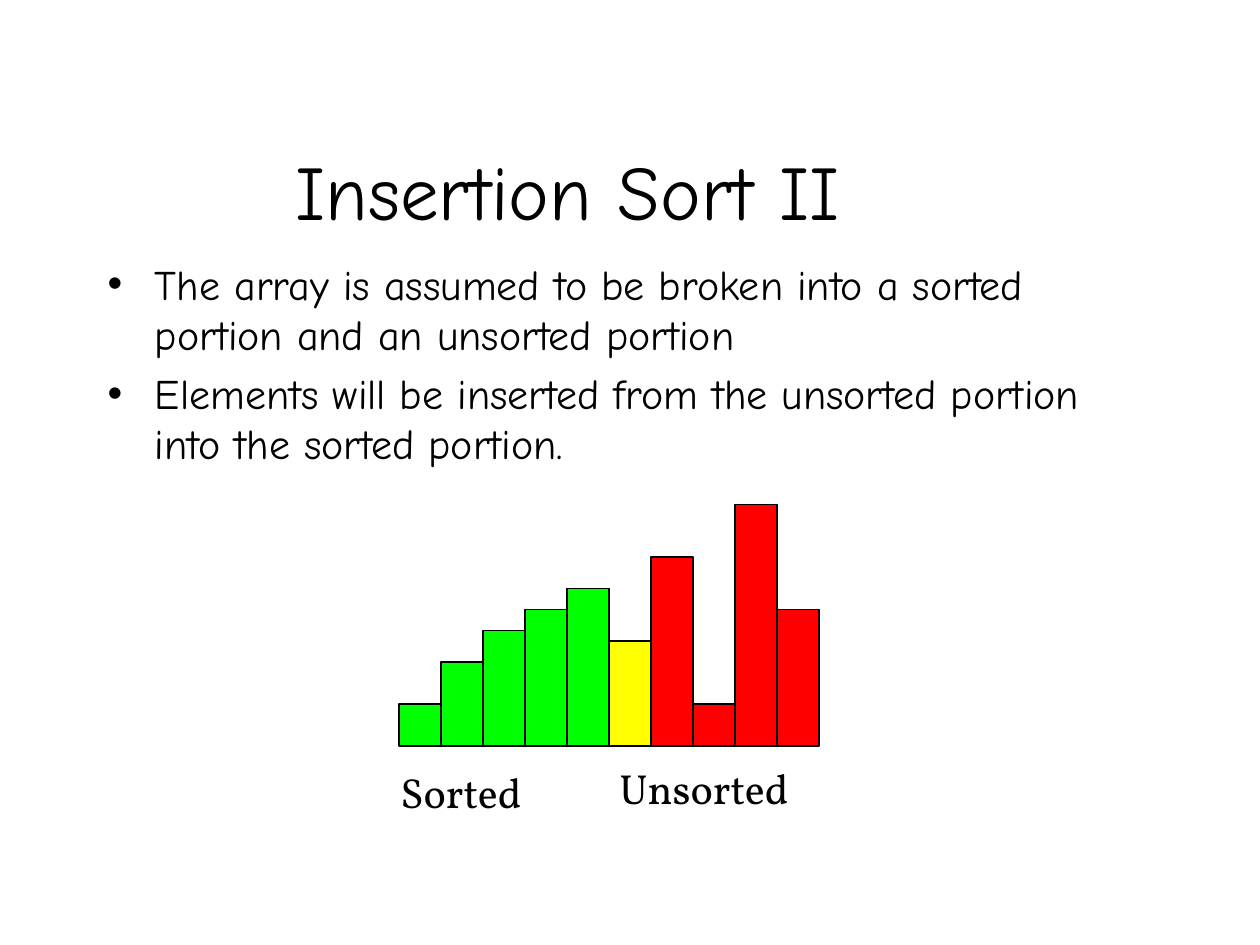
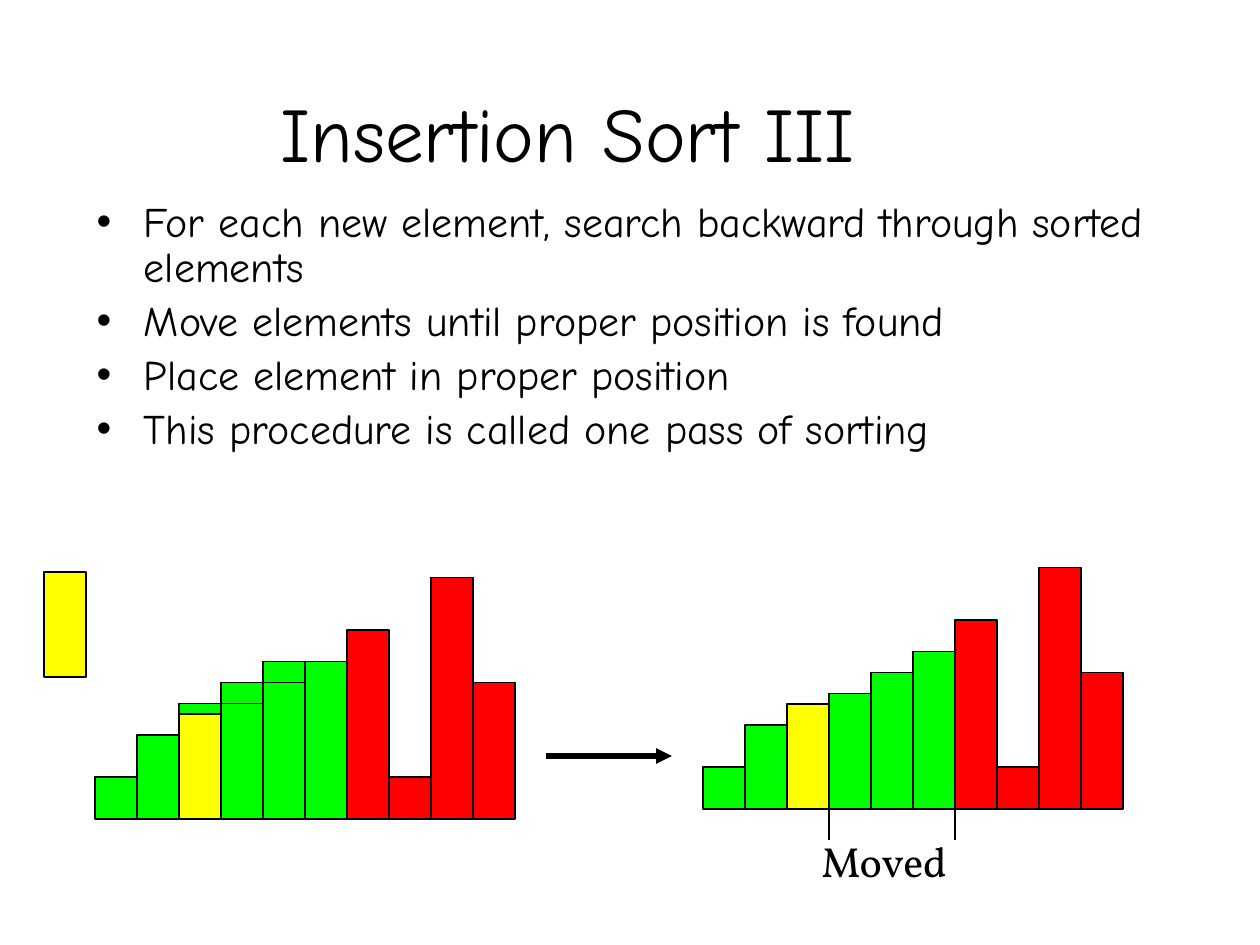
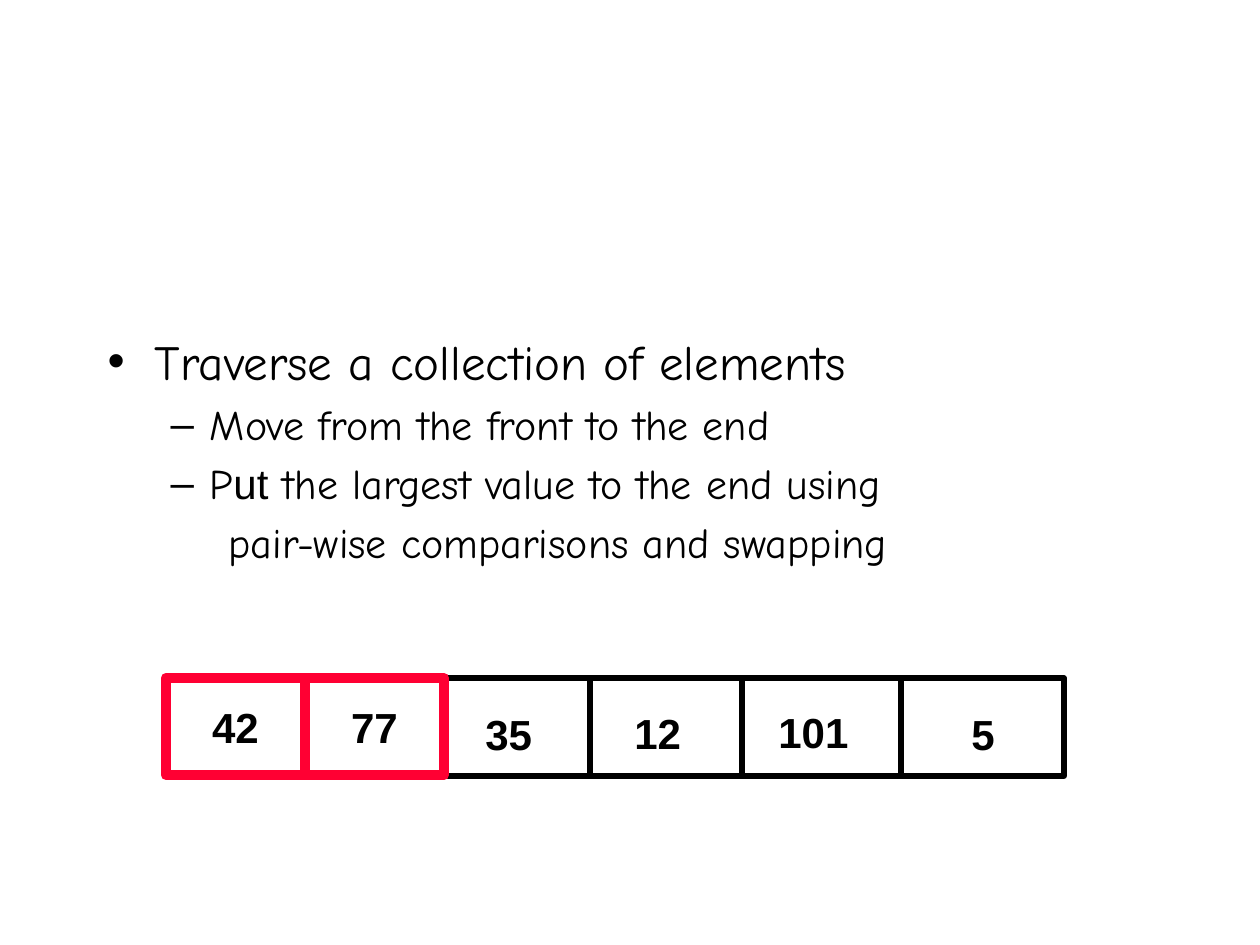
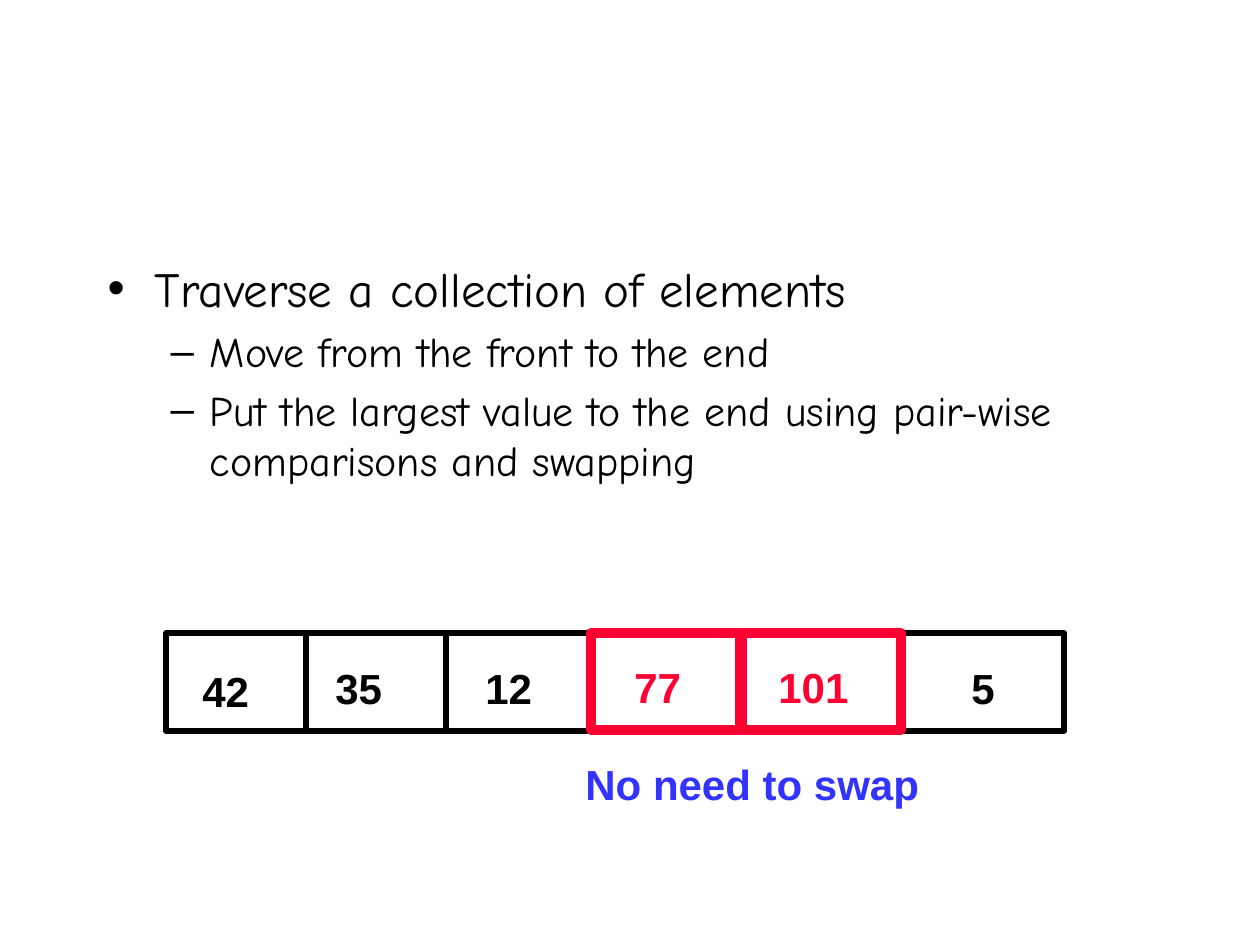
from lxml.etree import SubElement
from pptx import Presentation
from pptx.dml.color import RGBColor
from pptx.enum.shapes import MSO_CONNECTOR as Link, MSO_SHAPE as Shape
from pptx.enum.text import MSO_ANCHOR as Anchor, MSO_AUTO_SIZE as AutoSize, PP_ALIGN as Align
from pptx.oxml.ns import qn
from pptx.util import Pt

SCALE = 914400 / 126
BLACK, WHITE, BLUE = "000000", "FFFFFF", "3333FF"
SORTED, UNSORTED, CURRENT, COMPARED = "00FF00", "FF0000", "FFFF00", "FF0033"
HAND, SERIF, SANS = "Comic Neue", "Vollkorn", "Arial"
BAR_WIDTH = 42
HALF_UNIT = 21


def px(*lengths):
    return [round(length * SCALE) for length in lengths]


def paint(target, hex_colour):
    if hex_colour is None:
        target.background()
        return
    if hasattr(target, "solid"):
        target.solid()
        target.fore_color.rgb = RGBColor.from_string(hex_colour)
    else:
        target.color.rgb = RGBColor.from_string(hex_colour)


TITLE = {"size": Pt(44), "name": HAND}
NUMBER = {"size": Pt(24), "name": SANS, "bold": True}
CAPTION = {"size": Pt(24), "name": SERIF, "bold": False}

TRAVERSE = [
    (0, 28, ["Traverse a collection of elements"]),
    (1, 24, ["Move from the front to the end"]),
]

contents = [
    {
        "title": ("Insertion Sort II", Anchor.BOTTOM),
        "body": (95, 252, 1061, 271),
        "spacing": 1.0,
        "points": [
            (0, 24, ["The array is assumed to be broken into a sorted portion and an unsorted portion"]),
            (0, 24, ["Elements will be inserted from the unsorted portion into the sorted portion."]),
        ],
        "histograms": [
            (399, 746, [
                (0, 4, SORTED), (1, 8, SORTED), (2, 11, SORTED), (3, 13, SORTED), (4, 15, SORTED),
                (6, 18, UNSORTED), (7, 4, UNSORTED), (8, 23, UNSORTED), (9, 13, UNSORTED),
                (5, 10, CURRENT),
            ]),
        ],
        "labels": [
            ("Sorted", 388, 760, 197, BLACK, CAPTION),
            ("Unsorted", 607, 756, 199, BLACK, CAPTION),
        ],
    },
    {
        "title": ("Insertion Sort III", Anchor.MIDDLE),
        "body": (84, 195, 1103, 325),
        "spacing": 0.9,
        "points": [
            (0, 24, ["For each new element, search backward through sorted elements"]),
            (0, 24, ["Move elements until proper position is found"]),
            (0, 24, ["Place element in proper position"]),
            (0, 24, ["This procedure is called one pass of sorting"]),
        ],
        "histograms": [
            (44, 677, [(0, 10, CURRENT)]),
            (95, 819, [
                (0, 4, SORTED), (1, 8, SORTED), (2, 11, SORTED), (3, 13, SORTED), (4, 15, SORTED),
                (6, 18, UNSORTED), (7, 4, UNSORTED), (8, 23, UNSORTED), (9, 13, UNSORTED),
                (5, 15, SORTED), (4, 13, SORTED), (3, 11, SORTED), (2, 10, CURRENT),
            ]),
            (703, 809, [
                (0, 4, SORTED), (1, 8, SORTED), (3, 11, SORTED), (4, 13, SORTED), (5, 15, SORTED),
                (6, 18, UNSORTED), (2, 10, CURRENT),
                (7, 4, UNSORTED), (8, 23, UNSORTED), (9, 13, UNSORTED),
            ]),
        ],
        "lines": [
            (546, 756, 672, 756, 3, True),
            (829, 798, 829, 840, 1, False),
            (955, 809, 955, 840, 1, False),
        ],
        "labels": [("Moved", 809, 829, 158, BLACK, CAPTION)],
    },
    {
        "body": (95, 325, 1134, 546),
        "spacing": 1.0,
        "points": TRAVERSE + [
            (1, 24, ["P", "ut", " the largest value to the end using"]),
            (None, 24, ["pair-wise comparisons and swapping"]),
        ],
        "array_top": 678,
        "compared": [(166, 139, WHITE, "42"), (305, 139, WHITE, "77")],
        "labels": [
            ("35", 473, 702, 72, BLACK, NUMBER),
            ("12", 622, 701, 72, BLACK, NUMBER),
            ("101", 766, 700, 96, BLACK, NUMBER),
            ("5", 959, 702, 49, BLACK, NUMBER),
        ],
    },
    {
        "body": (95, 252, 1061, 504),
        "spacing": 1.0,
        "points": TRAVERSE + [
            (1, 24, ["Put the largest value to the end using pair-wise comparisons and swapping"]),
        ],
        "array_top": 633,
        "compared": [(591, 149, None, ""), (742, 159, None, "")],
        "labels": [
            ("42", 190, 659, 72, BLACK, NUMBER),
            ("35", 323, 656, 72, BLACK, NUMBER),
            ("12", 473, 656, 72, BLACK, NUMBER),
            ("77", 622, 655, 72, COMPARED, NUMBER),
            ("101", 766, 655, 96, COMPARED, NUMBER),
            ("5", 959, 656, 49, BLACK, NUMBER),
            ("No need to swap", 573, 752, 359, BLUE, NUMBER),
        ],
    },
]

deck = Presentation()
deck.slide_width, deck.slide_height = px(1260, 945)

for content in contents:
    slide = deck.slides.add_slide(deck.slide_layouts[1])
    heading, body = slide.placeholders
    texts = []

    if "title" in content:
        wording, anchor = content["title"]
        heading.left, heading.top, heading.width, heading.height = px(95, 21, 946, 221)
        heading.text_frame.auto_size = AutoSize.NONE
        heading.text_frame.vertical_anchor = anchor
        heading.text_frame.text = wording
        texts.append((heading.text_frame.paragraphs[0].runs[0], BLACK, TITLE))
    else:
        heading.element.getparent().remove(heading.element)

    body.left, body.top, body.width, body.height = px(*content["body"])
    body.text_frame.auto_size = AutoSize.NONE
    for index, (level, size, pieces) in enumerate(content["points"]):
        point = body.text_frame.paragraphs[0] if index == 0 else body.text_frame.add_paragraph()
        point.level = 1 if level is None else level
        point.line_spacing = content["spacing"]
        if index == 0:
            point.space_before = Pt(0)
        if level is None:
            properties = point._p.get_or_add_pPr()
            properties.set("marL", str(px(121)[0]))
            properties.set("indent", "0")
            SubElement(properties, qn("a:buNone"))
        for order, piece in enumerate(pieces):
            run = point.add_run()
            run.text = piece
            texts.append((run, BLACK, {"size": Pt(size), "name": SANS if order % 2 else HAND}))

    blocks = []
    for left, base, bars in content.get("histograms", []):
        for slot, value, colour in bars:
            height = value * HALF_UNIT / 2
            blocks.append((left + slot * BAR_WIDTH, base - height, BAR_WIDTH, height, colour, BLACK, 1, ""))

    lines = list(content.get("lines", []))
    if "array_top" in content:
        top = content["array_top"]
        blocks.append((166, top, 898, 98, None, BLACK, 3, ""))
        lines += [(x, top, x, top + 98, 3, False) for x in (306, 446, 590, 742, 901)]

    for x1, y1, x2, y2, weight, arrow in lines:
        blocks.append((x1, y1, x2, y2, None, BLACK, weight, arrow))
    for left, width, fill, number in content.get("compared", []):
        blocks.append((left, top, width, 97, fill, COMPARED, 6, number))

    for left, top, width, height, fill, edge, weight, extra in blocks:
        if isinstance(extra, bool):
            part = slide.shapes.add_connector(Link.STRAIGHT, *px(left, top, width, height))
            SubElement(part._element.spPr, qn("a:effectLst"))
        else:
            part = slide.shapes.add_shape(Shape.RECTANGLE, *px(left, top, width, height))
            part.shadow.inherit = False
            paint(part.fill, fill)
        paint(part.line, edge)
        part.line.width = Pt(weight)
        if extra is True:
            SubElement(part.line._get_or_add_ln(), qn("a:tailEnd"), type="triangle")
        elif extra:
            part.text_frame.word_wrap = False
            part.text_frame.vertical_anchor = Anchor.MIDDLE
            part.text_frame.text = extra
            cell = part.text_frame.paragraphs[0]
            cell.alignment = Align.CENTER
            texts.append((cell.runs[0], BLACK, NUMBER))

    for wording, left, top, width, colour, style in content["labels"]:
        label = slide.shapes.add_textbox(*px(left, top, width, 63)).text_frame
        label.word_wrap = False
        label.auto_size = AutoSize.SHAPE_TO_FIT_TEXT
        label.text = wording
        texts.append((label.paragraphs[0].runs[0], colour, style))

    for run, colour, style in texts:
        for attribute, value in style.items():
            setattr(run.font, attribute, value)
        paint(run.font.fill, colour)

deck.save("out.pptx")
